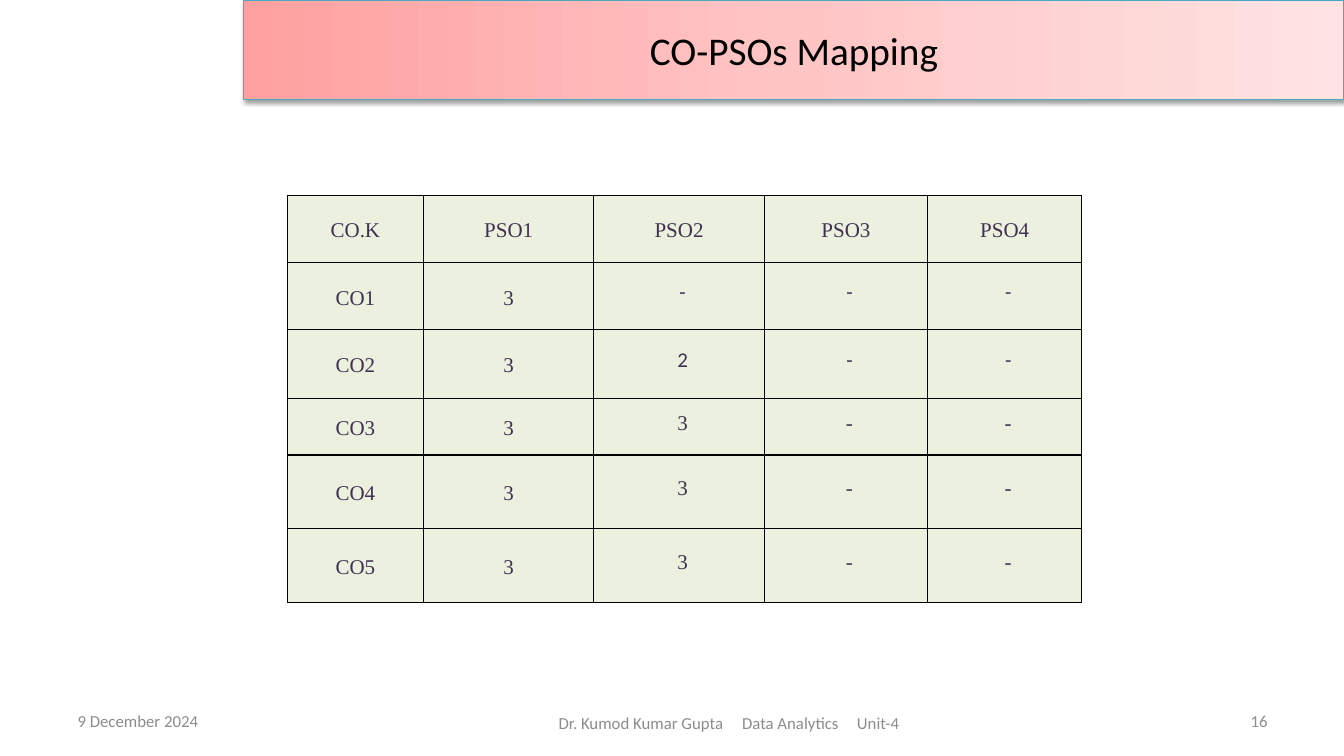
from dataclasses import dataclass

from lxml.etree import SubElement
from pptx import Presentation
from pptx.dml.color import RGBColor
from pptx.enum.text import MSO_ANCHOR, PP_ALIGN
from pptx.oxml.ns import qn
from pptx.util import Inches, Pt


@dataclass(frozen=True)
class Theme:
    sans: str = "Calibri"
    serif: str = "Times New Roman"
    title_size: float = 28
    table_size: float = 15
    footer_size: float = 12
    black: str = "000000"
    footer_grey: str = "8C8C8C"
    table_text: str = "403152"
    table_fill: str = "EBF1DE"
    banner_line: str = "46AAC5"
    banner_stops: tuple = ((0, "FFA0A0"), (50, "FFC5C5"), (100, "FFE3E3"))


class SlideBuilder:
    """Places elements by percentages of the slide's width and height."""

    def __init__(self, deck, theme):
        self.deck = deck
        self.theme = theme
        self.slide = deck.slides.add_slide(deck.slide_layouts[5])

    def across(self, percent):
        return round(self.deck.slide_width * percent / 100)

    def down(self, percent):
        return round(self.deck.slide_height * percent / 100)

    def area(self, left, top, width, height):
        return self.across(left), self.down(top), self.across(width), self.down(height)

    def style(self, para, font, size, color, align):
        para.alignment = align
        for span in para.runs:
            span.font.name = font
            span.font.size = Pt(size)
            span.font.color.rgb = RGBColor.from_string(color)

    def add_color(self, parent, color):
        return SubElement(parent, qn("a:srgbClr"), val=color)

    def banner(self, text, *place):
        theme = self.theme
        title = self.slide.shapes.title
        title.left, title.top, title.width, title.height = self.area(*place)
        title.line.color.rgb = RGBColor.from_string(theme.banner_line)
        title.line.width = Pt(0.75)

        # Left-to-right gradient
        title.fill.gradient()
        title.fill.gradient_angle = 0
        properties = title.element.spPr
        stops = properties.find(qn("a:gradFill")).find(qn("a:gsLst"))
        for stop in list(stops):
            stops.remove(stop)
        for percent, color in theme.banner_stops:
            stop = SubElement(stops, qn("a:gs"), pos=str(percent * 1000))
            self.add_color(stop, color)

        # Soft shadow straight below
        effects = SubElement(properties, qn("a:effectLst"))
        shadow = SubElement(effects, qn("a:outerShdw"), blurRad=str(Pt(3.1)),
                            dist=str(Pt(1.6)), dir="5400000", rotWithShape="0")
        SubElement(self.add_color(shadow, theme.black), qn("a:alpha"), val="38000")

        frame = title.text_frame
        frame.text = text
        frame.vertical_anchor = MSO_ANCHOR.MIDDLE
        self.style(frame.paragraphs[0], theme.sans, theme.title_size,
                   theme.black, PP_ALIGN.CENTER)

    def footer(self, text, align, *place, margin=0.1, tabs=()):
        box = self.slide.shapes.add_textbox(*self.area(*place))
        frame = box.text_frame
        frame.word_wrap = True
        frame.vertical_anchor = MSO_ANCHOR.MIDDLE
        frame.margin_left = Inches(margin)
        frame.text = text
        para = frame.paragraphs[0]
        if tabs:
            tab_list = SubElement(para._p.get_or_add_pPr(), qn("a:tabLst"))
            for position in tabs:
                SubElement(tab_list, qn("a:tab"), pos=str(Inches(position)), algn="l")
        self.style(para, self.theme.sans, self.theme.footer_size,
                   self.theme.footer_grey, align)

    def cell(self, cell, text, font, tight):
        theme = self.theme
        properties = cell._tc.get_or_add_tcPr()
        for side in ("a:lnL", "a:lnR", "a:lnT", "a:lnB"):
            border = SubElement(properties, qn(side), w=str(Pt(1)))
            self.add_color(SubElement(border, qn("a:solidFill")), theme.black)
        cell.fill.solid()
        cell.fill.fore_color.rgb = RGBColor.from_string(theme.table_fill)
        cell.vertical_anchor = MSO_ANCHOR.MIDDLE
        cell.margin_left = cell.margin_right = Inches(0.06)
        cell.margin_top = cell.margin_bottom = 0
        cell.text = text
        para = cell.text_frame.paragraphs[0]
        para.line_spacing = Pt(12.3) if tight else 1.15
        if tight:
            indent = para._p.get_or_add_pPr()
            indent.set("marL", str(Inches(0.07)))
            indent.set("indent", "0")
        self.style(para, font, theme.table_size, theme.table_text, PP_ALIGN.CENTER)

    def mapping_table(self, rows, left, top, widths, heights):
        place = self.area(left, top, sum(widths), sum(heights))
        table = self.slide.shapes.add_table(len(rows), len(widths), *place).table
        table.first_row = table.horz_banding = False
        for column, width in zip(table.columns, widths):
            column.width = self.across(width)
        for row, height in zip(table.rows, heights):
            row.height = self.down(height)
        for r, values in enumerate(rows):
            for c, text in enumerate(values):
                # Scores from PSO2 on are set tight, in sans for CO1 and CO2
                tight = r > 0 and c > 1
                font = self.theme.sans if tight and r < 3 else self.theme.serif
                self.cell(table.cell(r, c), text, font, tight)


def main():
    deck = Presentation()
    deck.slide_width, deck.slide_height = Inches(13.33), Inches(7.5)
    page = SlideBuilder(deck, Theme())

    # Title banner
    page.banner("CO-PSOs Mapping", 18.15, 0, 81.85, 13.2)

    # Mapping of course outcomes to programme outcomes
    scores = [
        ("CO.K", "PSO1", "PSO2", "PSO3", "PSO4"),
        ("CO1", "3", "-", "-", "-"),
        ("CO2", "3", "2", "-", "-"),
        ("CO3", "3", "3", "-", "-"),
        ("CO4", "3", "3", "-", "-"),
        ("CO5", "3", "3", "-", "-"),
    ]
    page.mapping_table(scores, 21.38, 25.87,
                       widths=(10.13, 12.68, 12.68, 12.15, 11.48),
                       heights=(8.9, 8.87, 9.07, 7.5, 9.73, 9.73))

    # Footer: date, author and unit, page number
    page.footer("9 December 2024", PP_ALIGN.LEFT, 5.03, 92.67, 23.33, 5.33)
    page.footer("\t".join(("Dr. Kumod Kumar Gupta", "Data Analytics", "Unit-4")),
                PP_ALIGN.LEFT, 37.36, 93.2, 33.91, 4.93,
                margin=0.56, tabs=(1.82, 2.96))
    page.footer("16", PP_ALIGN.RIGHT, 71.72, 92.67, 23.33, 5.33)

    deck.save("out.pptx")


if __name__ == "__main__":
    main()
